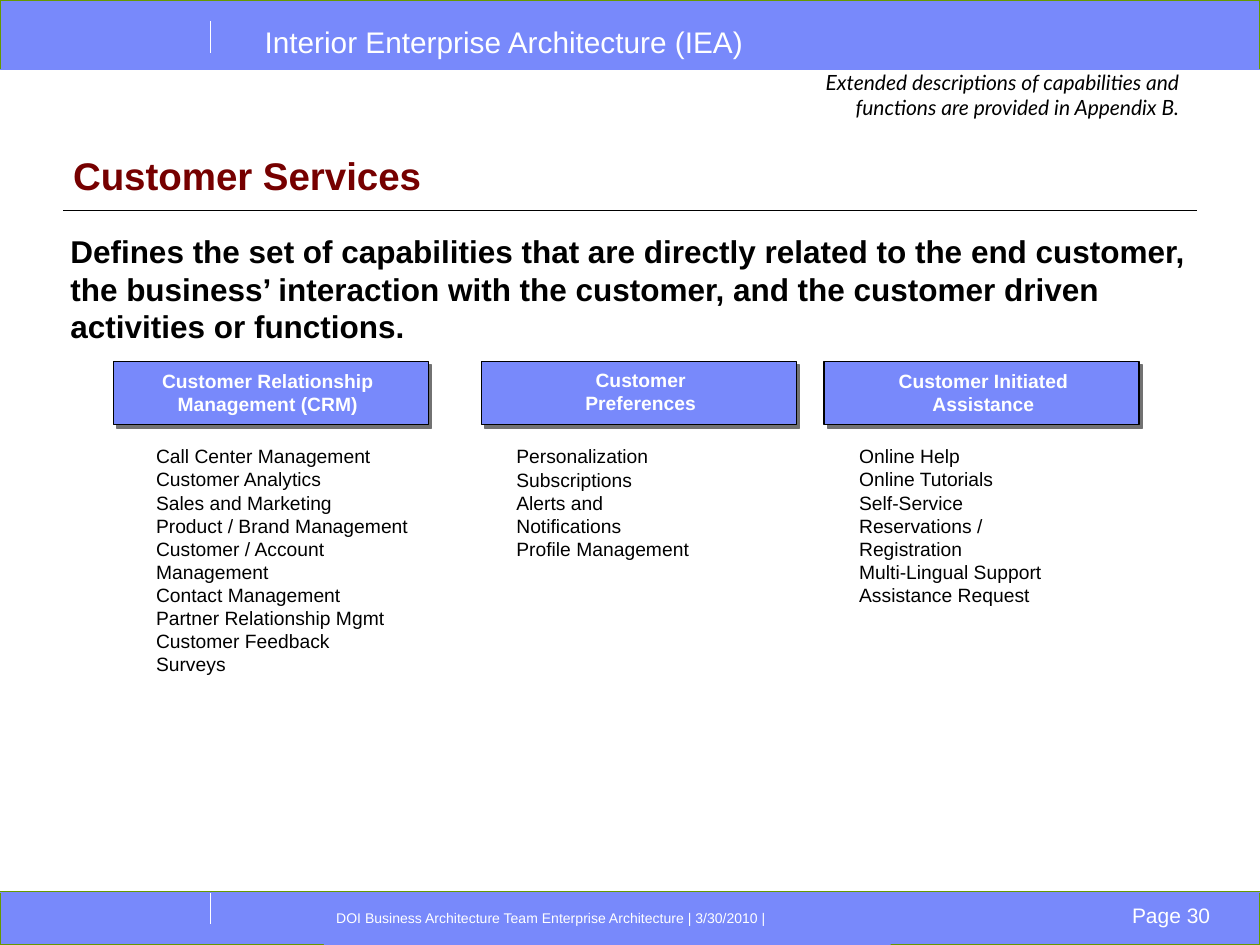
from dataclasses import dataclass

from lxml.etree import SubElement
from pptx import Presentation
from pptx.dml.color import RGBColor
from pptx.enum.shapes import MSO_CONNECTOR as CONN, MSO_SHAPE as SHAPE
from pptx.enum.text import MSO_ANCHOR as ANCHOR, PP_ALIGN as ALIGN
from pptx.oxml.ns import qn
from pptx.util import Inches, Pt


@dataclass(frozen=True)
class Theme:
    """Colours, fonts and type sizes of the slide."""
    blue: str = "7889FB"
    green: str = "669900"
    maroon: str = "760000"
    black: str = "000000"
    white: str = "FFFFFF"
    shadow: str = "727272"
    font: str = "Arial"
    note_font: str = "Lato"
    title: int = 22
    lead: int = 18
    header: int = 17
    note: int = 12
    body: int = 11
    footer: int = 8


T = Theme()
MARGINS = (0.1, 0.05, 0.1, 0.05)
COLUMNS = [
    (0.9, (1.04, 2.88), (1.14, 2.4), ["Customer Relationship Management (CRM)"],
     ["Call Center Management", "Customer Analytics", "Sales and Marketing",
      "Product / Brand Management", "Customer / Account Management",
      "Contact Management", "Partner Relationship Mgmt", "Customer Feedback",
      "Surveys"]),
    (3.82, (4, 2.87), (4, 1.7), ["Customer", "Preferences"],
     ["Personalization", "Subscriptions", "Alerts and Notifications",
      "Profile Management"]),
    (6.54, (6.72, 2.88), (6.72, 1.95), ["Customer Initiated", "Assistance"],
     ["Online Help", "Online Tutorials", "Self-Service",
      "Reservations / Registration", "Multi-Lingual Support",
      "Assistance Request"]),
]


def rgb(color):
    """Turn a hex string into a colour."""
    return RGBColor.from_string(color)


def write(sp, lines, size, color=T.black, font=T.font, bold=False, italic=False,
          align=ALIGN.LEFT, anchor=ANCHOR.TOP, margins=MARGINS):
    """Fill a shape with evenly formatted paragraphs."""
    tf = sp.text_frame
    tf.word_wrap = True
    tf.vertical_anchor = anchor
    tf.margin_left, tf.margin_top, tf.margin_right, tf.margin_bottom = map(Inches, margins)
    tf.text = "\n".join(lines)
    for p in tf.paragraphs:
        p.alignment = align
        for r in p.runs:
            f = r.font
            f.name, f.size, f.bold, f.italic = font, Pt(size), bold, italic
            f.color.rgb = rgb(color)


def add_text(s, box, lines, size, **style):
    """Add a text box."""
    write(s.shapes.add_textbox(*map(Inches, box)), lines, size, **style)


def add_rect(s, box, line=None):
    """Add a blue rectangle with an optional outline."""
    sp = s.shapes.add_shape(SHAPE.RECTANGLE, *map(Inches, box))
    sp.shadow.inherit = False
    sp.fill.solid()
    sp.fill.fore_color.rgb = rgb(T.blue)
    if line:
        sp.line.color.rgb = rgb(line)
        sp.line.width = Pt(0.75)
    else:
        sp.line.fill.background()
    return sp


def add_line(s, start, end, color, width=0.75):
    """Add a straight line without a shadow."""
    cx = s.shapes.add_connector(CONN.STRAIGHT, *map(Inches, start + end))
    cx.line.color.rgb = rgb(color)
    cx.line.width = Pt(width)
    SubElement(cx._element.spPr, qn("a:effectLst"))


def add_shadow(sp):
    """Give a shape a hard shadow to the lower right."""
    effects = sp._element.spPr.find(qn("a:effectLst"))
    shadow = SubElement(effects, qn("a:outerShdw"), dist=str(Pt(2.8)),
                        dir="2700000", algn="ctr", rotWithShape="0")
    SubElement(shadow, qn("a:srgbClr"), val=T.shadow)


def add_frame(s):
    """Add the header and footer bands with their rules and text."""
    for top, height in ((7.08, 0.42), (0, 0.55)):
        add_rect(s, (0, top, 10, height), T.green)
    for y in (0.17, 7.08):
        add_line(s, (1.67, y + 0.25), (1.67, y), T.white)
    for y in (0.55, 7.08):
        add_line(s, (0, y), (10, y), T.blue, 0.5)
    add_line(s, (0.5, 1.67), (9.5, 1.67), T.black)
    add_text(s, (8.76, 7.16, 1.07, 0.2), ["Page 30"], T.note, color=T.white,
             align=ALIGN.CENTER, margins=(0, 0, 0, 0))
    add_text(s, (2.08, 0.16, 5.62, 0.34), ["Interior Enterprise Architecture (IEA)"],
             T.header, color=T.white, anchor=ANCHOR.MIDDLE, margins=(0.02,) * 4)
    write(add_rect(s, (2.57, 7.15, 4.5, 0.35)),
          ["DOI Business Architecture Team Enterprise Architecture | 3/30/2010 |"],
          T.footer, color=T.white, margins=(0.1, 0.07, 0.1, 0.05))


def add_column(s, left, heading_at, list_span, heading, items):
    """Add a capability heading and its list of functions."""
    add_shadow(add_rect(s, (left, 2.87, 2.5, 0.5), T.black))
    add_text(s, (*heading_at, 2.17, 0.47), heading, T.body, color=T.white, bold=True,
             align=ALIGN.CENTER)
    list_left, list_width = list_span
    list_height = 0.1 + 0.19 * (len(items) + 1)
    add_text(s, (list_left, 3.48, list_width, list_height), items, T.body)


def main():
    """Build and save the slide."""
    prs = Presentation()
    prs.slide_width, prs.slide_height = Inches(10), Inches(7.5)
    s = prs.slides.add_slide(prs.slide_layouts[6])
    add_frame(s)
    add_text(s, (0.58, 0.95, 9.42, 0.67), ["Customer Services"], T.title,
             color=T.maroon, bold=True, anchor=ANCHOR.BOTTOM, margins=(0, 0.05, 0, 0.05))
    add_text(s, (0.46, 1.79, 9.11, 1),
             ["Defines the set of capabilities that are directly related to the end "
              "customer, the business’ interaction with the customer, and the customer "
              "driven activities or functions."], T.lead, bold=True)
    for column in COLUMNS:
        add_column(s, *column)
    add_text(s, (5.79, 0.5, 3.67, 0.5),
             ["Extended descriptions of capabilities and functions are provided in "
              "Appendix B."], T.note, font=T.note_font, italic=True, align=ALIGN.RIGHT)
    prs.save("out.pptx")


if __name__ == "__main__":
    main()
